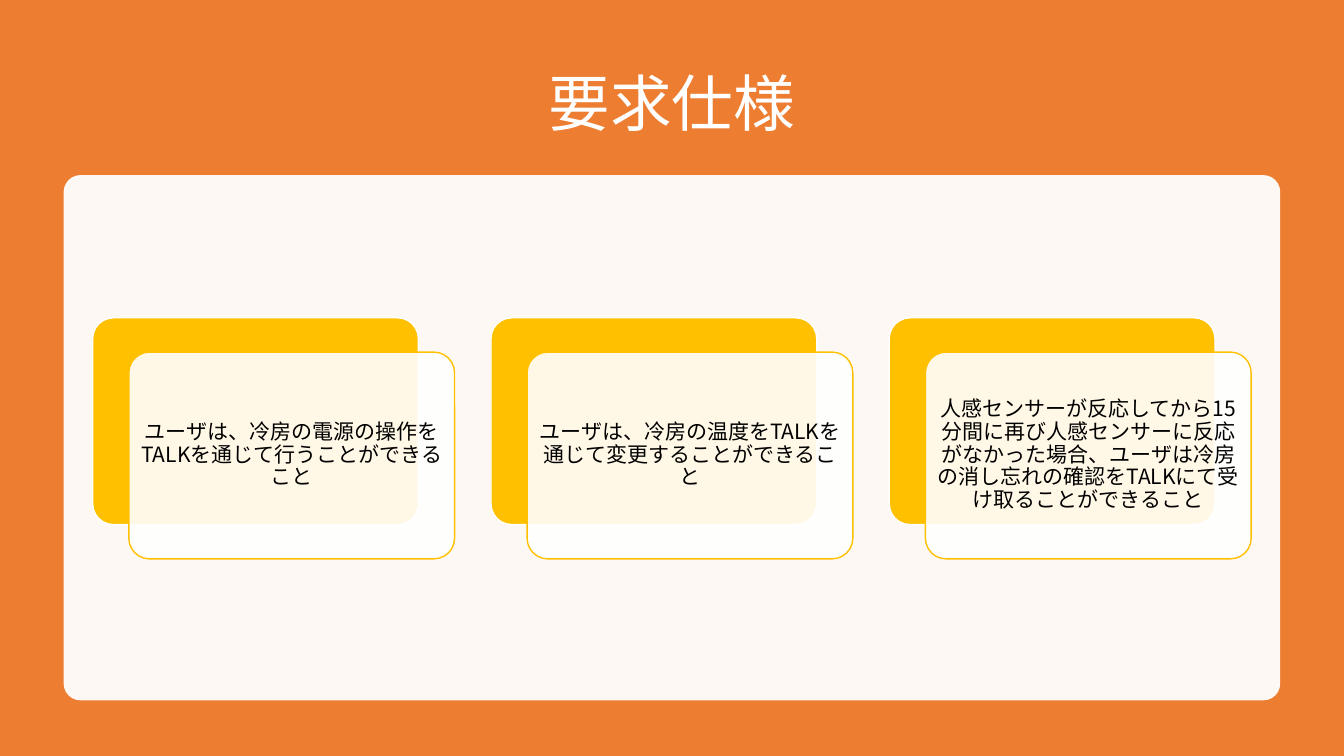
from pptx import Presentation
from pptx.dml.color import RGBColor
from pptx.enum import shapes, text
from pptx.oxml import ns
from pptx.util import Pt
from lxml import etree

TITLE = "要求仕様"
REQUIREMENTS = [
    "ユーザは、冷房の電源の操作をTALKを通じて行うことができること",
    "ユーザは、冷房の温度をTALKを通じて変更することができること",
    "人感センサーが反応してから15分間に再び人感センサーに反応がなかった場合、"
    "ユーザは冷房の消し忘れの確認をTALKにて受け取ることができること",
]
FONT = "Noto Sans CJK JP"
ORANGE, YELLOW, WHITE, BLACK = "ED7D31", "FFC000", "FFFFFF", "000000"
SLIDE_W, SLIDE_H = 960, 540
CARD_LEFT, CARD_TOP, CARD_W, CARD_H = 66.2, 227, 232.7, 147.7
CARD_STEP = 284.5
FRONT_DX, FRONT_DY = 25.8, 24.5
CARD_MARGIN = 4


def rgb(color):
    return RGBColor.from_string(color)


def add_panel(slide, box, fill, opacity=100, line=None, radius=None):
    """Add a rectangle, rounded when a radius is given; opacity is in percent."""
    kind = shapes.MSO_SHAPE.RECTANGLE if radius is None else shapes.MSO_SHAPE.ROUNDED_RECTANGLE
    panel = slide.shapes.add_shape(kind, *map(Pt, box))
    panel.shadow.inherit = False
    if radius is not None:
        panel.adjustments[0] = radius
    panel.fill.solid()
    panel.fill.fore_color.rgb = rgb(fill)
    if opacity < 100:
        color = panel._element.spPr.find(ns.qn("a:solidFill"))[0]
        etree.SubElement(color, ns.qn("a:alpha"), val=str(opacity * 1000))
    if line:
        panel.line.color.rgb = rgb(line)
        panel.line.width = Pt(1)
    else:
        panel.line.fill.background()
    return panel


def write(shape, wording, size, color):
    """Set centred wording with the font for Latin and Japanese letters."""
    frame = shape.text_frame
    frame.text = wording
    frame.word_wrap = True
    frame.vertical_anchor = text.MSO_ANCHOR.MIDDLE
    paragraph = frame.paragraphs[0]
    paragraph.alignment = text.PP_ALIGN.CENTER
    paragraph.line_spacing = 0.9
    paragraph.font.size = Pt(size)
    paragraph.font.name = FONT
    paragraph.font.color.rgb = rgb(color)
    latin = next(paragraph._p.iter(ns.qn("a:latin")))
    latin.addnext(etree.Element(ns.qn("a:ea"), typeface=FONT))
    return frame


def main():
    deck = Presentation()
    deck.slide_width, deck.slide_height = Pt(SLIDE_W), Pt(SLIDE_H)
    slide = deck.slides.add_slide(deck.slide_layouts[5])

    backdrop = add_panel(slide, (0, 0, SLIDE_W, SLIDE_H), ORANGE)
    title = slide.shapes.title
    title._element.addprevious(backdrop._element)
    title.left, title.top, title.width, title.height = map(Pt, (66, 36.3, 828, 79.2))
    write(title, TITLE, 44, WHITE)

    add_panel(slide, (45.5, 125.1, 869, 375.2), WHITE, opacity=95, radius=0.032)

    for column, requirement in enumerate(REQUIREMENTS):
        left = CARD_LEFT + column * CARD_STEP
        add_panel(slide, (left, CARD_TOP, CARD_W, CARD_H), YELLOW, line=WHITE, radius=0.1)
        front = add_panel(slide, (left + FRONT_DX, CARD_TOP + FRONT_DY, CARD_W, CARD_H),
                          WHITE, opacity=90, line=YELLOW, radius=0.1)
        frame = write(front, requirement, 15, BLACK)
        frame.margin_left = frame.margin_right = Pt(CARD_MARGIN)
        frame.margin_top = frame.margin_bottom = Pt(CARD_MARGIN)

    deck.save("out.pptx")


if __name__ == "__main__":
    main()
